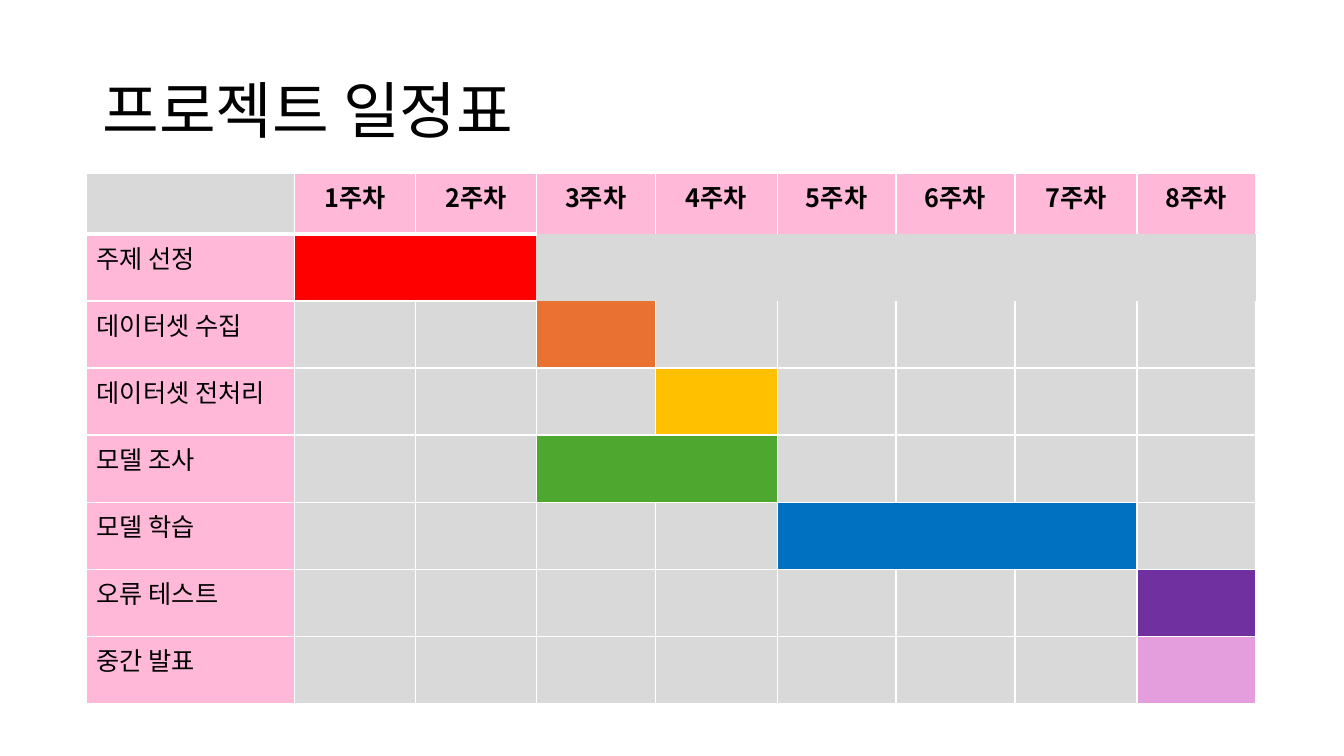
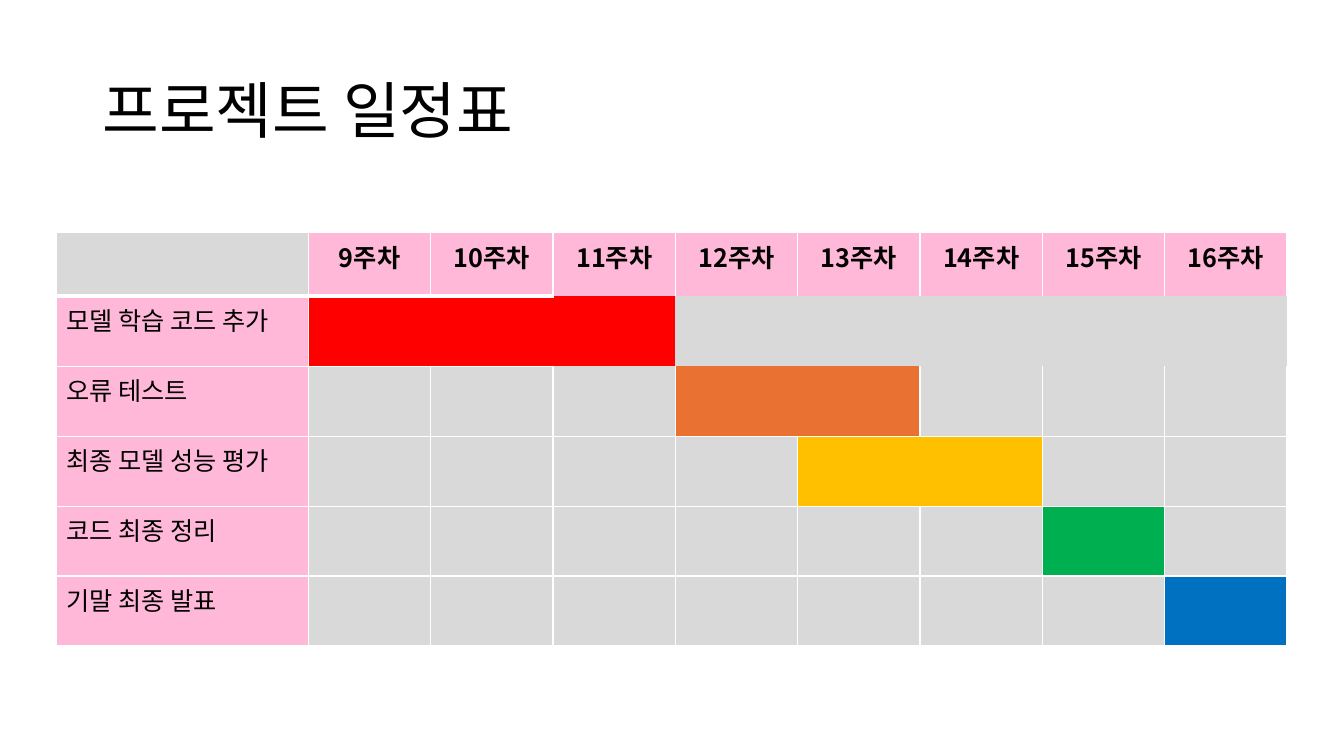
from lxml.etree import SubElement
from pptx import Presentation
from pptx.dml.color import RGBColor
from pptx.enum.text import MSO_ANCHOR as Anchor, PP_ALIGN as Align
from pptx.oxml.ns import qn
from pptx.util import Pt

PX = 9144  # 100 px to the inch
FONT = "Noto Sans CJK KR"
BLACK = RGBColor(0x00, 0x00, 0x00)
WHITE = RGBColor(0xFF, 0xFF, 0xFF)
GREY = RGBColor(0xD9, 0xD9, 0xD9)
PINK = RGBColor(0xFF, 0xB8, 0xD8)
RED = RGBColor(0xFF, 0x00, 0x00)
ORANGE = RGBColor(0xE9, 0x71, 0x32)
YELLOW = RGBColor(0xFF, 0xC0, 0x00)
LEAF = RGBColor(0x4E, 0xA7, 0x2E)
GREEN = RGBColor(0x00, 0xB0, 0x50)
BLUE = RGBColor(0x00, 0x70, 0xC0)
PURPLE = RGBColor(0x70, 0x30, 0xA0)
LILAC = RGBColor(0xE5, 0x9E, 0xDD)

TITLE = "프로젝트 일정표"
TITLE_BOX = (92, 40, 1150, 145)
PLAIN_FROM = 3  # from this column on, the first task row has no borders

# Each task has a label and its bars: (column, weeks, colour)
SCHEDULES = [
    {
        "first_week": 1,
        "box": (86, 172, 1160, 526),
        "header": 60,
        "label": 206,
        "weeks": [120, 120, 118, 121, 118, 118, 121, 118],
        "tasks": [
            ("주제 선정", [(1, 2, RED), (3, 6, GREY)]),
            ("데이터셋 수집", [(3, 1, ORANGE)]),
            ("데이터셋 전처리", [(4, 1, YELLOW)]),
            ("모델 조사", [(3, 2, LEAF)]),
            ("모델 학습", [(5, 3, BLUE)]),
            ("오류 테스트", [(8, 1, PURPLE)]),
            ("중간 발표", [(8, 1, LILAC)]),
        ],
    },
    {
        "first_week": 9,
        "box": (56, 231, 1221, 410),
        "header": 63,
        "label": 250,
        "weeks": [(1221 - 250) / 8] * 8,
        "tasks": [
            ("모델 학습 코드 추가", [(1, 2, RED), (3, 1, RED), (6, 3, GREY)]),
            ("오류 테스트", [(4, 2, ORANGE)]),
            ("최종 모델 성능 평가", [(5, 2, YELLOW)]),
            ("코드 최종 정리", [(7, 1, GREEN)]),
            ("기말 최종 발표", [(8, 1, BLUE)]),
        ],
    },
]


def px(*lengths):
    return [round(length * PX) for length in lengths]


def write(frame, text, size=18, bold=False, align=Align.LEFT, spacing=1.0):
    para = frame.paragraphs[0]
    para.alignment = align
    para.line_spacing = spacing
    span = para.add_run()
    span.text = text
    font = span.font
    font.size, font.bold, font.name = Pt(size), bold, FONT
    font.color.rgb = BLACK
    SubElement(font._element, qn("a:ea")).set("typeface", FONT)


def border_widths(row, column):
    """Widths in points of the left, right, top and bottom borders."""
    plain = column >= PLAIN_FROM
    if row == 0:
        return 1, 1, 1, 0 if plain else 3
    if row == 1:
        return (0, 0, 0, 0) if plain else (1, 1 if column == 0 else 0, 3, 1)
    return 1, 1, 0 if row == 2 and plain else 1, 1


def style_cell(cell, fill, borders):
    props = cell._tc.get_or_add_tcPr()
    for side, width in zip("LRTB", borders):
        line = SubElement(props, qn(f"a:ln{side}"), w=str(Pt(width)))
        if width:
            solid = SubElement(line, qn("a:solidFill"))
            SubElement(solid, qn("a:srgbClr"), val=str(WHITE))
        else:
            SubElement(line, qn("a:noFill"))
    cell.fill.solid()
    cell.fill.fore_color.rgb = fill


def add_title(page):
    frame = page.shapes.add_textbox(*px(*TITLE_BOX)).text_frame
    frame.word_wrap = True
    frame.vertical_anchor = Anchor.MIDDLE
    write(frame, TITLE, size=44, spacing=0.9)


def add_schedule(page, plan):
    tasks, widths = plan["tasks"], [plan["label"], *plan["weeks"]]
    task_height = (plan["box"][3] - plan["header"]) / len(tasks)
    heights = [plan["header"]] + [task_height] * len(tasks)
    table = page.shapes.add_table(len(heights), len(widths), *px(*plan["box"])).table
    table.first_row = table.horz_banding = False
    for column, width in zip(table.columns, px(*widths)):
        column.width = width
    for row, height in zip(table.rows, px(*heights)):
        row.height = height

    fills = {(row, 0): PINK for row in range(1, len(heights))}
    for column in range(1, len(widths)):
        fills[0, column] = PINK
        week = plan["first_week"] + column - 1
        write(table.cell(0, column).text_frame, f"{week}주차", bold=True, align=Align.CENTER)
    for row, (label, bars) in enumerate(tasks, 1):
        write(table.cell(row, 0).text_frame, label)
        for start, weeks, colour in bars:
            end = start + weeks - 1
            fills.update({(row, column): colour for column in range(start, end + 1)})
            if weeks > 1:
                table.cell(row, start).merge(table.cell(row, end))
    for row in range(len(heights)):
        for column in range(len(widths)):
            fill = fills.get((row, column), GREY)
            style_cell(table.cell(row, column), fill, border_widths(row, column))


def main():
    deck = Presentation()
    deck.slide_width, deck.slide_height = px(1333.33, 750)
    for plan in SCHEDULES:
        page = deck.slides.add_slide(deck.slide_layouts[6])
        add_title(page)
        add_schedule(page, plan)
    deck.save("out.pptx")


if __name__ == "__main__":
    main()
